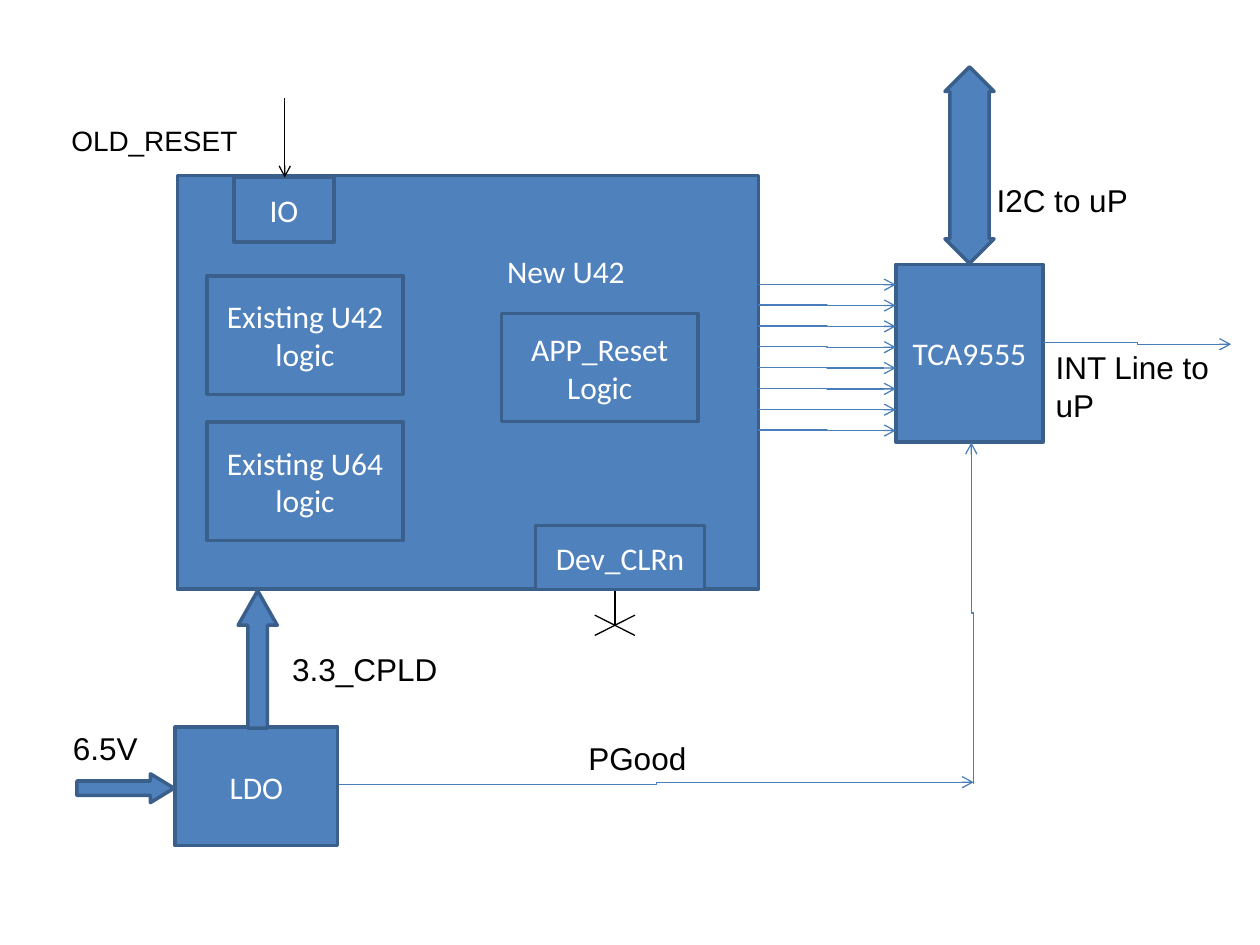
from lxml import etree
from pptx import Presentation
from pptx import util as u
from pptx.dml.color import RGBColor
from pptx.enum import shapes, text
from pptx.oxml import ns

BLUE = RGBColor(0x4F, 0x81, 0xBD)
EDGE = RGBColor(0x3A, 0x5F, 0x8B)
WIRE = RGBColor(0x4A, 0x7E, 0xBB)
BLACK = RGBColor(0, 0, 0)
WHITE = RGBColor(255, 255, 255)
SHAPE = shapes.MSO_SHAPE
LINK = shapes.MSO_CONNECTOR


class Board:
    def __init__(self, slide):
        self.items = slide.shapes
        self.size = 18
        self.inner = "Calibri"
        self.outer = "Arial"

    def letter(self, frame, words, font, color, size, align):
        frame.word_wrap = True
        par = frame.paragraphs[0]
        par.alignment = align
        run = par.add_run()
        run.text = words
        run.font.name = font
        run.font.size = u.Pt(size)
        run.font.color.rgb = color

    def solid(self, kind, x, y, w, h):
        shape = self.items.add_shape(kind, u.Cm(x), u.Cm(y), u.Cm(w), u.Cm(h))
        shape.shadow.inherit = False
        shape.fill.solid()
        shape.fill.fore_color.rgb = BLUE
        shape.line.color.rgb = EDGE
        shape.line.width = u.Pt(2)
        return shape

    def block(self, words, x, y, w, h):
        frame = self.solid(SHAPE.RECTANGLE, x, y, w, h).text_frame
        frame.vertical_anchor = text.MSO_ANCHOR.MIDDLE
        self.letter(frame, words, self.inner, WHITE, self.size, text.PP_ALIGN.CENTER)
        return frame

    def arrow(self, kind, x, y, w, h, head):
        self.solid(kind, x, y, w, h).adjustments[1] = head

    def label(self, words, x, y, w, h=1.02, size=None):
        box = self.items.add_textbox(u.Cm(x), u.Cm(y), u.Cm(w), u.Cm(h))
        self.letter(box.text_frame, words, self.outer, BLACK,
                    size or self.size, text.PP_ALIGN.LEFT)

    def line(self, x1, y1, x2, y2, color=BLACK, kind=LINK.STRAIGHT, tip=False):
        link = self.items.add_connector(kind, u.Cm(x1), u.Cm(y1), u.Cm(x2), u.Cm(y2))
        link.line.color.rgb = color
        link.line.width = u.Pt(0.75)
        props = link._element.spPr
        if tip:
            tail = etree.SubElement(props.find(ns.qn("a:ln")), ns.qn("a:tailEnd"))
            tail.set("type", "arrow")
        etree.SubElement(props, ns.qn("a:effectLst"))
        return props

    def wire(self, x1, y1, x2, y2):
        return self.line(x1, y1, x2, y2, WIRE, LINK.ELBOW, True)

    def rise(self, x1, y1, x2, y2):
        midx, midy = (x1 + x2) / 2, (y1 + y2) / 2
        long, wide = (y1 - y2) / 2, (x1 - x2) / 2
        props = self.wire(midx - long, midy + wide, midx + long, midy - wide)
        props.find(ns.qn("a:xfrm")).set("rot", "16200000")


def main():
    deck = Presentation()
    deck.slide_width, deck.slide_height = u.Cm(25.4), u.Cm(19.05)
    board = Board(deck.slides.add_slide(deck.slide_layouts[6]))

    chip = board.block("New U42", 3.58, 3.54, 11.71, 8.34)
    chip.vertical_anchor = text.MSO_ANCHOR.TOP
    chip.margin_left, chip.margin_top = u.Cm(4.2), u.Cm(1.55)

    for words, x, y, w, h in (
        ("Existing U42 logic", 4.17, 5.56, 3.96, 2.39),
        ("Existing U64 logic", 4.17, 8.51, 3.96, 2.39),
        ("APP_Reset Logic", 10.11, 6.32, 3.96, 2.18),
        ("TCA9555", 18.06, 5.33, 2.97, 3.58),
        ("LDO", 3.53, 14.66, 3.28, 2.39),
        ("Dev_CLRn", 10.8, 10.59, 3.4, 1.3),
        ("IO", 4.72, 3.58, 2.01, 1.3),
    ):
        board.block(words, x, y, w, h)

    for row in range(8):
        y = 5.73 + 0.42 * row
        board.wire(15.29, y, 18.06, y + 0.01)
    board.wire(21.03, 6.91, 24.82, 6.94)
    board.wire(6.83, 15.82, 19.63, 15.77)
    board.rise(19.63, 15.8, 19.58, 8.92)

    board.arrow(SHAPE.UP_DOWN_ARROW, 19.05, 1.35, 0.99, 3.96, 0.8)
    board.arrow(SHAPE.RIGHT_ARROW, 1.55, 15.6, 1.96, 0.58, 0.82)
    board.arrow(SHAPE.UP_ARROW, 4.8, 11.91, 0.79, 2.77, 0.88)

    board.label("I2C to uP", 19.84, 3.53, 4.37)
    board.label("INT Line to uP", 21.03, 6.9, 4.37, 1.78)
    board.label("6.5V", 1.22, 14.58, 2.77)
    board.label("3.3_CPLD", 5.64, 12.98, 3.96)
    board.label("PGood", 11.61, 14.78, 3.96)
    board.label("OLD_RESET", 1.19, 2.36, 4.37, 0.94, 16)

    board.line(5.74, 1.98, 5.74, 3.58, tip=True)
    board.line(12.4, 11.91, 12.4, 12.6)
    board.line(11.99, 12.4, 12.8, 12.81)
    board.line(11.99, 12.81, 12.8, 12.4)

    deck.save("out.pptx")


if __name__ == "__main__":
    main()
